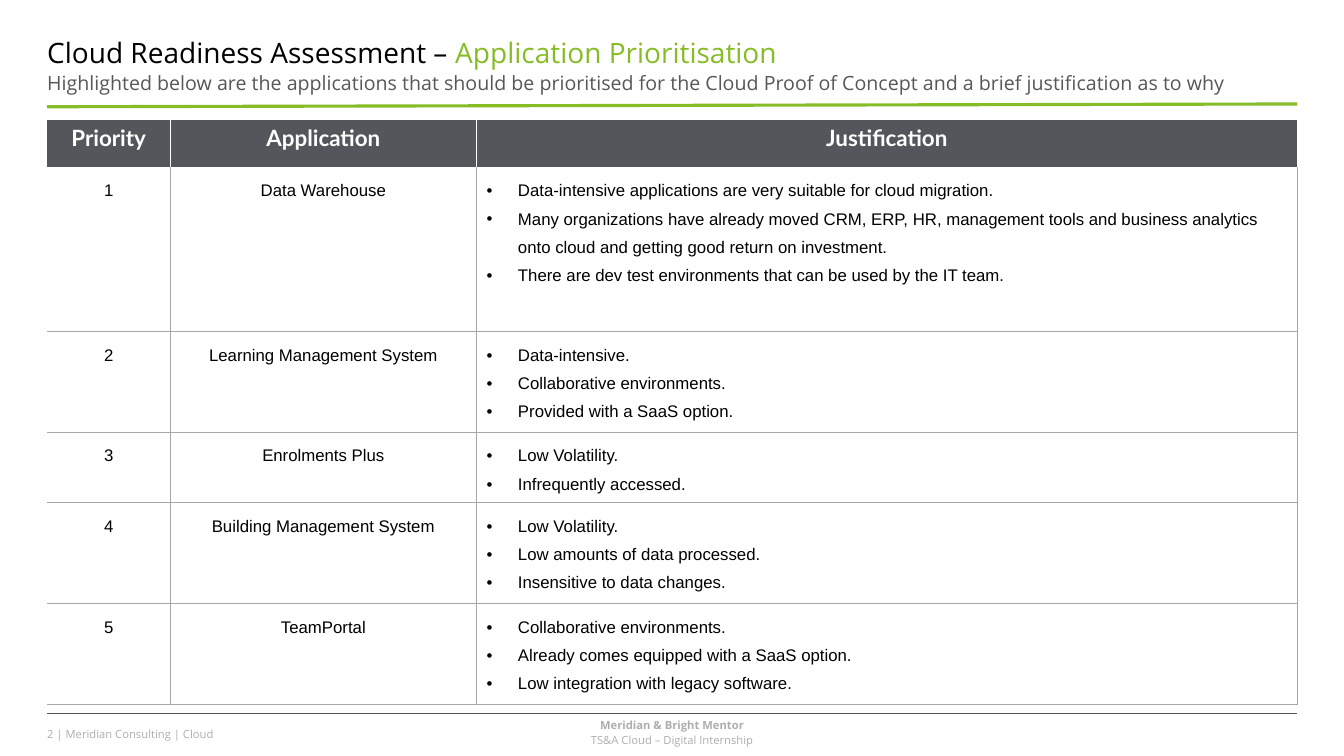
"""Build the application priority slide."""
from dataclasses import dataclass

from lxml import etree
from pptx import Presentation
from pptx.dml.color import RGBColor
from pptx.enum.shapes import MSO_CONNECTOR
from pptx.enum.text import MSO_ANCHOR, PP_ALIGN
from pptx.oxml.ns import qn
from pptx.util import Cm, Pt

LEFT, MID = PP_ALIGN.LEFT, PP_ALIGN.CENTER
TOP, CENTRE = MSO_ANCHOR.TOP, MSO_ANCHOR.MIDDLE
STRAIGHT = MSO_CONNECTOR.STRAIGHT


@dataclass(frozen=True)
class Theme:
    """Colours, fonts and type sizes."""
    black: str = "000000"
    white: str = "FFFFFF"
    green: str = "86BC25"
    slate: str = "53565A"
    text: str = "575757"
    pale: str = "AEAEAE"
    rule: str = "A6A6A6"
    main: str = "Open Sans"
    head: str = "Lato"
    body: str = "Arial"
    title: int = 20
    lead: int = 14
    label: int = 16
    cell: int = 12
    foot: int = 8


class Deck:
    """Hold the theme and the current slide."""

    def __init__(self, show, theme):
        """Add a blank slide."""
        self.theme = theme
        self.slide = show.slides.add_slide(show.slide_layouts[6])

    def run(self, para, text, size, color, font=None, bold=False):
        """Add one styled run."""
        run = para.add_run()
        run.text = text
        run.font.size = Pt(size)
        run.font.name = font or self.theme.main
        run.font.bold = bold
        run.font.color.rgb = RGBColor.from_string(color)

    def text(self, box, lines, size, align=LEFT, anchor=TOP, gap=0):
        """Add a text box; a line is a list of (text, colour, bold)."""
        frame = self.slide.shapes.add_textbox(*map(Cm, box)).text_frame
        frame.word_wrap = True
        frame.vertical_anchor = anchor
        frame.margin_left = frame.margin_right = 0
        frame.margin_top = frame.margin_bottom = 0
        for i, line in enumerate(lines):
            para = frame.paragraphs[0] if i == 0 else frame.add_paragraph()
            para.alignment = align
            para.space_after = Pt(gap)
            for text, color, bold in line:
                self.run(para, text, size, color, bold=bold)

    def line(self, start, end, color, width):
        """Add a straight line without a shadow."""
        ends = map(Cm, (*start, *end))
        line = self.slide.shapes.add_connector(STRAIGHT, *ends)
        line.line.color.rgb = RGBColor.from_string(color)
        line.line.width = Pt(width)
        etree.SubElement(line._element.spPr, qn("a:effectLst"))

    def edge(self, cell, edges):
        """Draw the four cell borders; None leaves a side clear."""
        props = cell._tc.get_or_add_tcPr()
        for side in "LRTB":
            color = edges.get(side)
            line = etree.SubElement(props, qn("a:ln" + side), w=str(Pt(1)))
            if color:
                fill = etree.SubElement(line, qn("a:solidFill"))
                etree.SubElement(fill, qn("a:srgbClr"), val=color)
            else:
                etree.SubElement(line, qn("a:noFill"))

    def bullet(self, para):
        """Give a paragraph a hanging bullet."""
        props = para._p.get_or_add_pPr()
        props.set("marL", str(Cm(0.79)))
        props.set("indent", str(-Cm(0.79)))
        etree.SubElement(props, qn("a:buFont"), typeface=self.theme.body)
        etree.SubElement(props, qn("a:buChar"), char="•")

    def fill(self, cell, lines, head, listed):
        """Write the text of one table cell."""
        theme, frame = self.theme, cell.text_frame
        for i, text in enumerate(lines):
            para = frame.paragraphs[0] if i == 0 else frame.add_paragraph()
            para.alignment = LEFT if listed else MID
            if head:
                self.run(para, text, theme.label, theme.white, theme.head, True)
                continue
            para.line_spacing = 1.5
            if listed:
                self.bullet(para)
            self.run(para, text, theme.cell, theme.black, theme.body)

    def table(self, spot, cols, rows, data):
        """Add the table: dark header row, ruled body rows."""
        theme, last = self.theme, len(cols) - 1
        size = (sum(cols), sum(rows))
        grid = self.slide.shapes.add_table(
            len(rows), len(cols), *map(Cm, spot + size)).table
        for col, width in zip(grid.columns, cols):
            col.width = Cm(width)
        for r, (row, height) in enumerate(zip(data, rows)):
            grid.rows[r].height = Cm(height)
            head = r == 0
            color = theme.white if head else theme.rule
            for c, lines in enumerate(row):
                cell = grid.cell(r, c)
                self.edge(cell, {
                    "L": color if c else None,
                    "R": None if head and c == last else color,
                    "T": theme.rule if r > 1 else None,
                    "B": None if head else theme.rule})
                if head:
                    cell.fill.solid()
                    cell.fill.fore_color.rgb = RGBColor.from_string(theme.slate)
                else:
                    cell.fill.background()
                self.fill(cell, lines, head, c == last and not head)


DATA = [
    (["Priority"], ["Application"], ["Justification"]),
    (["1"], ["Data Warehouse"], [
        "Data-intensive applications are very suitable for cloud migration.",
        "Many organizations have already moved CRM, ERP, HR, management tools "
        "and business analytics onto cloud and getting good return on "
        "investment.",
        "There are dev test environments that can be used by the IT team."]),
    (["2"], ["Learning Management System"], [
        "Data-intensive.", "Collaborative environments.",
        "Provided with a SaaS option."]),
    (["3"], ["Enrolments Plus"], [
        "Low Volatility.", "Infrequently accessed."]),
    (["4"], ["Building Management System"], [
        "Low Volatility.", "Low amounts of data processed.",
        "Insensitive to data changes."]),
    (["5"], ["TeamPortal"], [
        "Collaborative environments.",
        "Already comes equipped with a SaaS option.",
        "Low integration with legacy software."]),
]


def main():
    """Build and save the slide."""
    show = Presentation()
    show.slide_width, show.slide_height = Cm(33.87), Cm(19.05)
    theme = Theme()
    deck = Deck(show, theme)
    left, wide = 1.19, 31.5
    right = left + wide

    deck.line((left, 17.98), (right, 17.98), theme.slate, 1)
    deck.line((left, 2.69), (right, 2.62), theme.green, 2.25)
    deck.text((left, 0.91, wide, 0.84), [[
        ("Cloud Readiness Assessment – ", theme.black, False),
        ("Application Prioritisation", theme.green, False)]],
        theme.title, anchor=CENTRE)
    deck.text((left, 1.8, wide, 0.79), [[
        ("Highlighted below are the applications that should be prioritised "
         "for the Cloud Proof of Concept and a brief justification as to why",
         theme.text, False)]], theme.lead)
    deck.table((left, 3.02), (3.1, 7.72, 20.68),
               (1.19, 4.14, 2.4, 1.68, 2.4, 2.4), DATA)
    deck.text((left, 18.34, 6, 0.38), [[
        ("2 | Meridian Consulting | Cloud", theme.pale, False)]], theme.foot)
    deck.text((left, 18.11, wide, 0.8), [
        [("Meridian & Bright Mentor", theme.pale, True)],
        [("TS&A Cloud – Digital Internship", theme.pale, False)]],
        theme.foot, align=MID, gap=1)
    show.save("out.pptx")


main()
